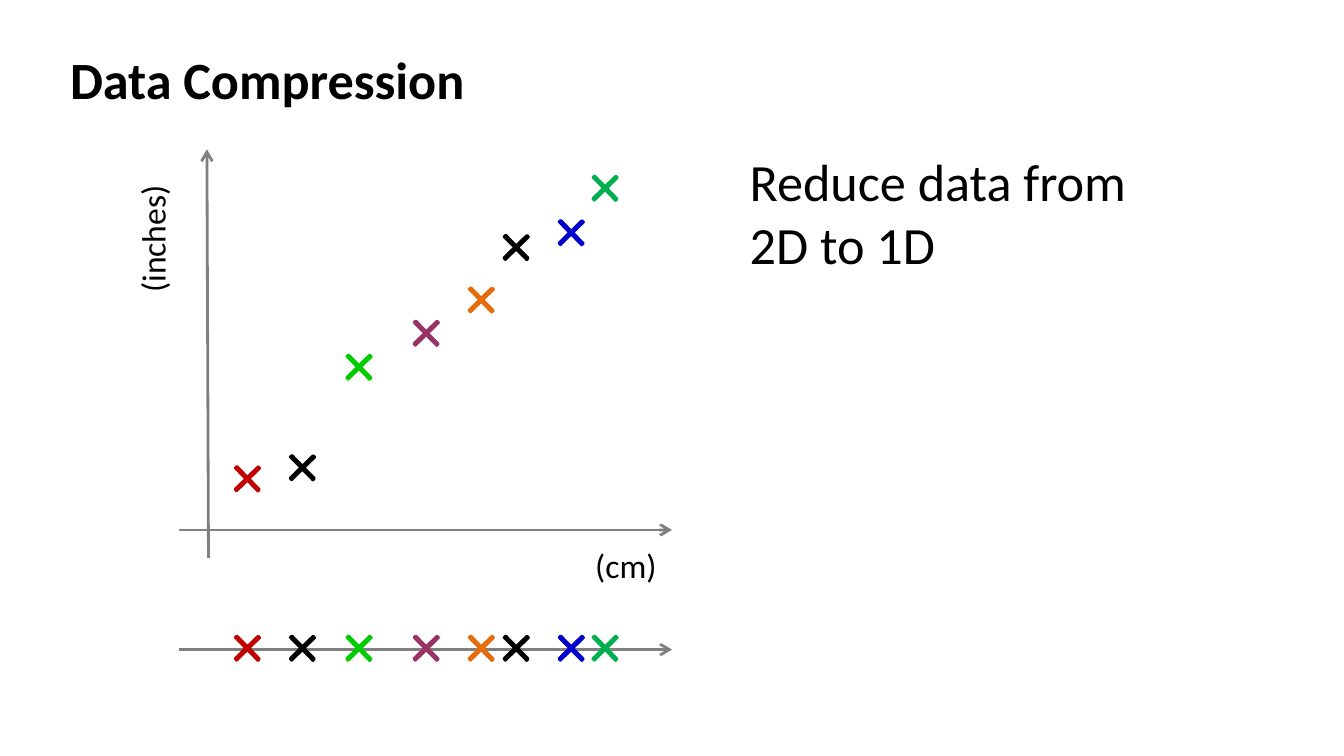
import pptx
import pptx.util
import pptx.dml.color
import pptx.enum.shapes
import pptx.enum.text
import pptx.oxml
import pptx.oxml.ns

Cm = pptx.util.Cm
RGBColor = pptx.dml.color.RGBColor

BLACK = RGBColor(0x00, 0x00, 0x00)
GRAY = RGBColor(0x80, 0x80, 0x80)
RED = RGBColor(0xC0, 0x00, 0x00)
LIME = RGBColor(0x00, 0xCC, 0x00)
PLUM = RGBColor(0x99, 0x33, 0x66)
ORANGE = RGBColor(0xE4, 0x6C, 0x0A)
BLUE = RGBColor(0x00, 0x00, 0xCC)
GREEN = RGBColor(0x00, 0xB0, 0x50)

MARKER_SIZE = Cm(0.61)
PROJECTED_TOP = 11.94


def write(box, lines, size, bold=False):
    """Fill a text box or placeholder with left-aligned paragraphs."""
    frame = box.text_frame
    frame.word_wrap = True
    frame.auto_size = pptx.enum.text.MSO_AUTO_SIZE.SHAPE_TO_FIT_TEXT
    for index, line in enumerate(lines):
        paragraph = frame.paragraphs[0] if index == 0 else frame.add_paragraph()
        paragraph.alignment = pptx.enum.text.PP_ALIGN.LEFT
        run = paragraph.add_run()
        run.text = line
        run.font.name = "Calibri"
        run.font.size = pptx.util.Pt(size)
        run.font.bold = bold
        run.font.color.rgb = BLACK


def add_axis(shapes, x1, y1, x2, y2):
    axis = shapes.add_connector(
        pptx.enum.shapes.MSO_CONNECTOR.STRAIGHT, Cm(x1), Cm(y1), Cm(x2), Cm(y2))
    axis.line.color.rgb = GRAY
    axis.line.width = pptx.util.Pt(1.5)
    namespace = pptx.oxml.ns.nsdecls("a")
    axis.line._get_or_add_ln().append(
        pptx.oxml.parse_xml(f'<a:tailEnd {namespace} type="arrow"/>'))
    axis._element.spPr.append(pptx.oxml.parse_xml(f"<a:effectLst {namespace}/>"))


presentation = pptx.Presentation()
presentation.slide_width = Cm(25.4)
presentation.slide_height = Cm(14.28)
slide = presentation.slides.add_slide(presentation.slide_layouts[5])
shapes = slide.shapes

title = shapes.title
title.left, title.top, title.width, title.height = Cm(1.07), Cm(0.76), Cm(23.06), Cm(1.45)
title.text_frame.vertical_anchor = pptx.enum.text.MSO_ANCHOR.TOP
write(title, ["Data Compression"], 28, bold=True)

add_axis(shapes, 3.94, 10.54, 3.91, 2.82)
add_axis(shapes, 3.38, 10.01, 12.7, 10.01)
add_axis(shapes, 3.38, 12.27, 12.7, 12.27)

# Left and top of each measurement, with its colour
measurements = [
    (4.37, 8.74, RED),
    (5.41, 8.53, BLACK),
    (6.48, 6.63, LIME),
    (7.75, 5.99, PLUM),
    (8.79, 5.36, ORANGE),
    (9.45, 4.37, BLACK),
    (10.49, 4.09, BLUE),
    (11.13, 3.25, GREEN),
]
projections = [(left, PROJECTED_TOP, color) for left, _, color in measurements]
for left, top, color in measurements + projections:
    cross = shapes.add_shape(
        pptx.enum.shapes.MSO_SHAPE.CROSS, Cm(left), Cm(top), MARKER_SIZE, MARKER_SIZE)
    cross.adjustments[0] = 0.466
    cross.rotation = 45.6
    cross.shadow.inherit = False
    cross.fill.solid()
    cross.fill.fore_color.rgb = color
    cross.line.color.rgb = color
    cross.line.width = pptx.util.Pt(1.5)

summary = shapes.add_textbox(Cm(13.92), Cm(2.69), Cm(10.41), Cm(2.64))
write(summary, ["Reduce data from", "2D to 1D"], 28)

inches_label = shapes.add_textbox(Cm(1.42), Cm(3.81), Cm(2.92), Cm(1.02))
inches_label.rotation = 270
write(inches_label, ["(inches)"], 18)

cm_label = shapes.add_textbox(Cm(11), Cm(10.16), Cm(2.92), Cm(1.02))
write(cm_label, ["(cm)"], 18)

presentation.save("out.pptx")
